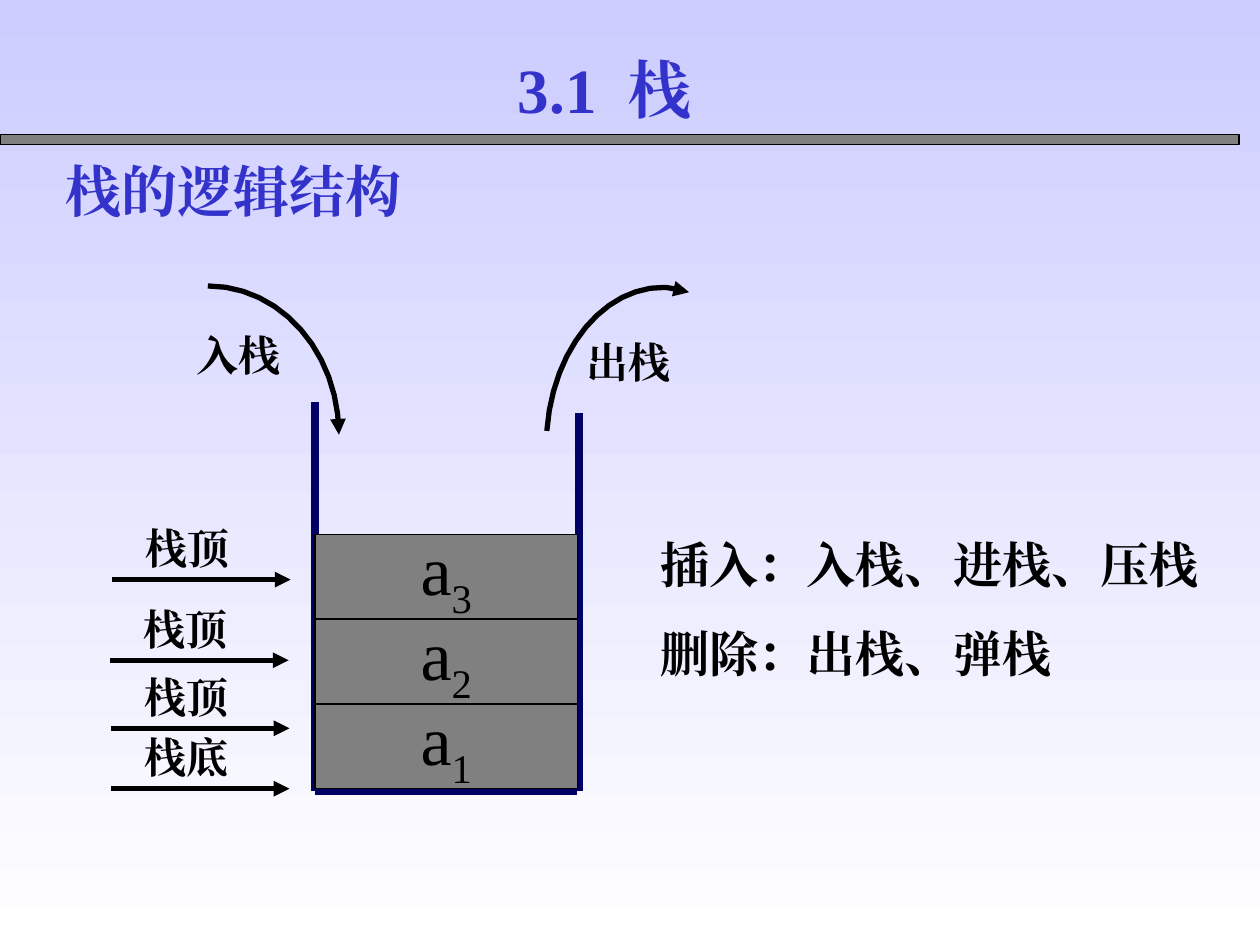
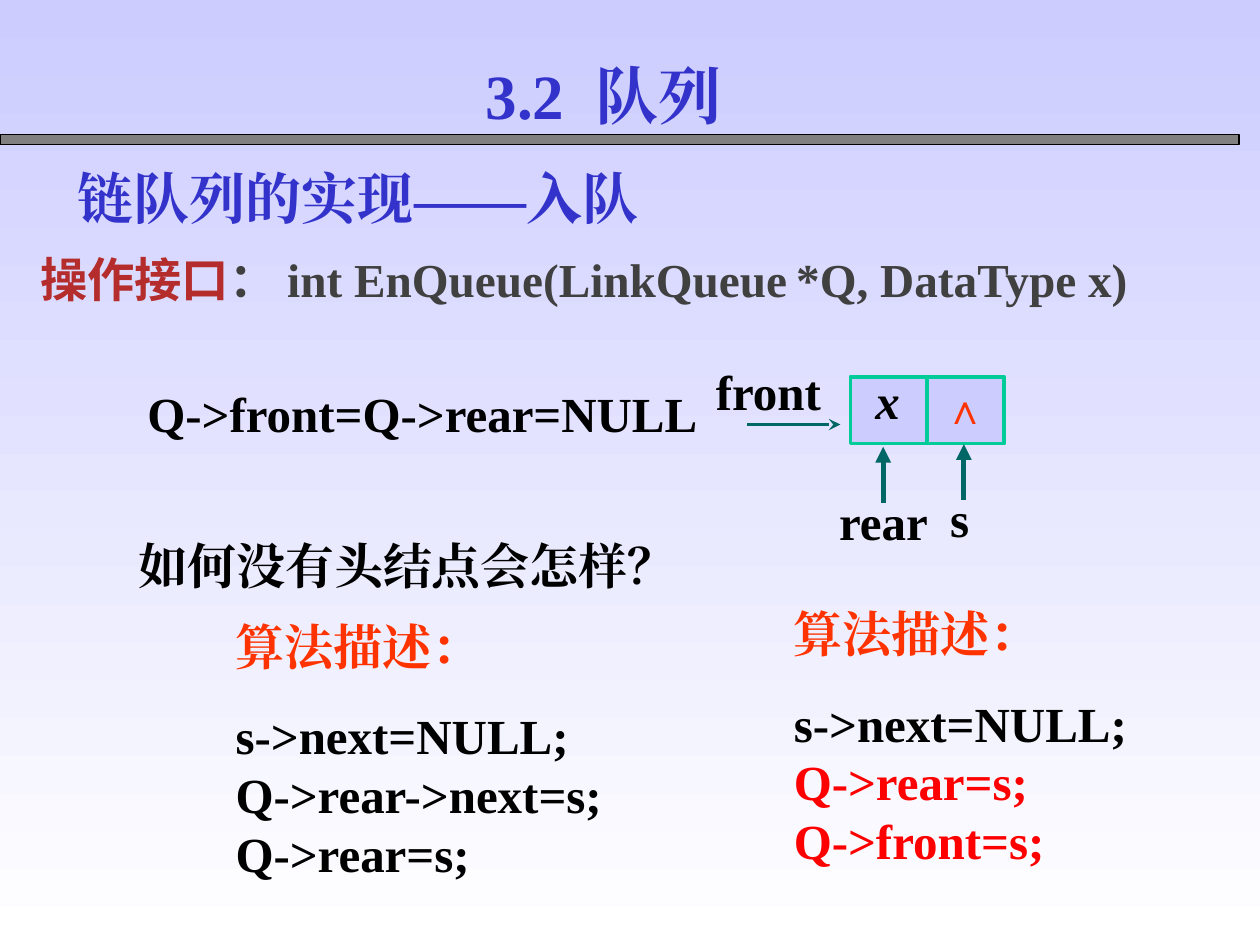
from pptx import Presentation
from pptx.util import Pt
from pptx.dml.color import RGBColor as Rgb
from pptx.enum.shapes import MSO_CONNECTOR as Link, MSO_SHAPE as Kind
from pptx.enum.text import MSO_ANCHOR as Anchor, MSO_AUTO_SIZE as Fit, PP_ALIGN as Align
from pptx.oxml.ns import qn
from lxml.etree import SubElement as Sub

BLACK, GREY, BLUE, NAVY = "000000", "808080", "3333CC", "000066"
TEAL, GREEN, PALE, ORANGE, RED = "006666", "00CC99", "CCCCFF", "FF3300", "FF0000"
SERIF, SANS = "Times New Roman", "Noto Sans CJK SC"
INSET = (7.2, 3.6, 7.2, 3.6)
FLAT = (0, 0, 0, 0)


def tint(code):
    return Rgb.from_string(code)


def write(frame, text, size=28, color=BLACK, bold=True, italic=False, font=SERIF,
          align=Align.LEFT, before=0, line=None, base=0, tab=None, glow=False, join=False):
    para = frame.paragraphs[-1]
    if para.runs and not join:
        para = frame.add_paragraph()
    if not join:
        para.alignment = align
        para.space_before = Pt(before)
        if line:
            para.line_spacing = line
        props = para._p.get_or_add_pPr()
        props.set("marL", "0")
        props.set("indent", "0")
        Sub(props, qn("a:buNone"))
        if tab:
            stops = Sub(props, qn("a:tabLst"))
            Sub(stops, qn("a:tab"), pos=str(Pt(tab)), algn="l")
    run = para.add_run()
    run.text = text
    face = run.font
    face.size, face.bold, face.italic = Pt(size), bold, italic
    face.color.rgb = tint(color)
    props = run._r.get_or_add_rPr()
    if base:
        props.set("baseline", str(base * 1000))
    if glow:
        shade = Sub(Sub(props, qn("a:effectLst")), qn("a:outerShdw"),
                    dist="25400", dir="2700000", algn="tl")
        Sub(shade, qn("a:srgbClr"), val=GREY)
    face.name = font
    Sub(props, qn("a:ea"), typeface=font)


def bezier(a, b, c, d, steps=12):
    for step in range(1, steps + 1):
        t = step / steps
        u = 1 - t
        yield tuple(u**3 * p + 3 * u * u * t * q + 3 * u * t * t * r + t**3 * s
                    for p, q, r, s in zip(a, b, c, d))


class Deck:
    def __init__(self):
        self.show = Presentation()
        self.show.slide_width, self.show.slide_height = Pt(720), Pt(540)
        fill = self.show.slide_master.background.fill
        fill.gradient()
        fill.gradient_angle = 270
        for stop, code in zip(fill.gradient_stops, (PALE, "FFFFFF")):
            stop.color.rgb = tint(code)

    def start(self, layout, title, left, top):
        self.slide = self.show.slides.add_slide(self.show.slide_layouts[layout])
        self.shapes = self.slide.shapes
        self.box(0, 77, 708, 5.8, GREY)
        frame = self.holder(0, left, top, 316, 50)
        write(frame, title, size=36, color=BLUE, align=Align.CENTER, glow=True)

    def frame(self, shape, inset=INSET, anchor=Anchor.TOP, wrap=True):
        frame = shape.text_frame
        frame.word_wrap, frame.auto_size = wrap, Fit.NONE
        frame.vertical_anchor = anchor
        (frame.margin_left, frame.margin_top,
         frame.margin_right, frame.margin_bottom) = map(Pt, inset)
        return frame

    def holder(self, index, left, top, width, height):
        shape = self.slide.placeholders[index]
        shape.left, shape.top, shape.width, shape.height = map(Pt, (left, top, width, height))
        return self.frame(shape)

    def label(self, text, left, top, width, height, inset=INSET, **style):
        shape = self.shapes.add_textbox(*map(Pt, (left, top, width, height)))
        frame = self.frame(shape, inset)
        write(frame, text, **style)
        return frame

    def box(self, left, top, width, height, fill, edge=BLACK, weight=0.75):
        shape = self.shapes.add_shape(Kind.RECTANGLE, *map(Pt, (left, top, width, height)))
        shape.shadow.inherit = False
        shape.fill.solid()
        shape.fill.fore_color.rgb = tint(fill)
        self.stroke(shape, edge, weight)
        return shape

    def stroke(self, shape, color, weight, head=None):
        shape.line.color.rgb = tint(color)
        shape.line.width = Pt(weight)
        if head:
            Sub(shape.line._get_or_add_ln(), qn("a:tailEnd"), type=head)

    def line(self, x1, y1, x2, y2, color=BLACK, weight=3, head=None):
        link = self.shapes.add_connector(Link.STRAIGHT, *map(Pt, (x1, y1, x2, y2)))
        self.stroke(link, color, weight, head)
        Sub(link._element.spPr, qn("a:effectLst"))
        return link

    def curve(self, *knots):
        dots = [dot for i in range(0, len(knots) - 1, 3) for dot in bezier(*knots[i:i + 4])]
        path = self.shapes.build_freeform(*map(Pt, knots[0]), scale=1.0)
        path.add_line_segments([(Pt(x), Pt(y)) for x, y in dots], close=False)
        shape = path.convert_to_shape()
        shape.shadow.inherit = False
        shape.fill.background()
        self.stroke(shape, BLACK, 3, "triangle")


def stack(deck):
    deck.start(1, "3.1  栈", 187.5, 25.2)
    deck.label("栈的逻辑结构", 30.2, 85.7, 402, 46, size=32, color=BLUE)

    for wall in ((180, 230, 180, 452), (180, 452, 330, 452), (331, 236, 331, 452)):
        deck.line(*wall, color=NAVY, weight=4.5)
    for row, number in enumerate("321"):
        cell = deck.box(180, 305.3 + 48.6 * row, 150, 48.3, GREY)
        frame = deck.frame(cell, (7.2, 0, 7.2, 3.6), Anchor.MIDDLE, False)
        write(frame, "a", size=40, bold=False, align=Align.CENTER)
        write(frame, number, size=40, bold=False, base=-25, join=True)

    deck.curve((118.8, 163.4), (160.6, 163.4), (193.7, 201.6), (193.7, 248.4))
    deck.curve((312.5, 246.2), (316, 198.7), (345.6, 163.4), (380.2, 164.2),
               (384.5, 164.9), (389.5, 165.6), (393.8, 167))
    deck.label("入栈", 105, 185, 70.6, 36, size=24)
    deck.label("出栈", 328.3, 188.6, 66.2, 36, size=24)

    for text, left, level in (("栈顶", 64.1, 331.2), ("栈顶", 63, 377.3),
                              ("栈顶", 63.4, 416.2), ("栈底", 63.4, 450.7)):
        deck.line(left, level, left + 102, level, head="triangle")
        deck.label(text, left + 12.2, level - 36, 72, 36, size=24)

    names = deck.holder(1, 370, 301.7, 325, 92)
    write(names, "插入：入栈、进栈、压栈")
    write(names, "删除：出栈、弹栈", before=17.5)


def queue(deck):
    deck.start(3, "3.2  队列", 187, 28.8)
    deck.label("链队列的实现——入队", 37.4, 90, 486, 46, size=32, color=BLUE)
    call = deck.label("操作接口", 23, 144.7, 640, 61, FLAT, size=27, color="B42C2C",
                      font=SANS, line=Pt(30.5), tab=436.3)
    write(call, "： ", size=27, color="404040", font=SANS, join=True)
    write(call, "int EnQueue(LinkQueue\t*Q, DataType x)", size=27, color="404040", join=True)

    deck.label("Q->front=Q->rear=NULL", 84.2, 218.9, 317.5, 36.7, FLAT)
    node = deck.box(486, 215.3, 87.8, 38.2, PALE, GREEN, 2.25)
    write(deck.frame(node, (14.2, 0, 0, 5.8)), "x", italic=True, line=0.9)
    split = deck.line(529.9, 215.3, 529.9, 253.5, GREEN, 2.25)
    split.begin_connect(node, 0)
    split.end_connect(node, 2)
    deck.label("∧", 532.8, 215.3, 41, 35.3, size=24, color=ORANGE)

    for text, left, top, width, x in (("s", 542.9, 285.8, 17.3, 550.8),
                                      ("rear", 479.5, 287.3, 61.2, 504.7)):
        deck.label(text, left, top, width, 25.2, FLAT, line=0.8)
        deck.line(x, top, x, top - 32, TEAL, 3, "triangle")
    deck.label("front", 409, 206.6, 68.4, 36.7, FLAT)
    deck.line(427, 242.6, 480.2, 242.6, TEAL, 2.25, "stealth")
    deck.label("如何没有头结点会怎样？", 72, 302.4, 366.5, 41)

    for index, left, top, tone, steps in (
            (1, 127.4, 348.5, BLACK, ("Q->rear->next=s;", "Q->rear=s;")),
            (2, 446.4, 341.3, RED, ("Q->rear=s;", "Q->front=s;"))):
        frame = deck.holder(index, left, top, 257, 159)
        write(frame, "算法描述：", color=ORANGE)
        write(frame, "s->next=NULL;", before=17.5)
        for step in steps:
            write(frame, step, color=tone)


def main():
    deck = Deck()
    stack(deck)
    queue(deck)
    deck.show.save("out.pptx")


if __name__ == "__main__":
    main()
